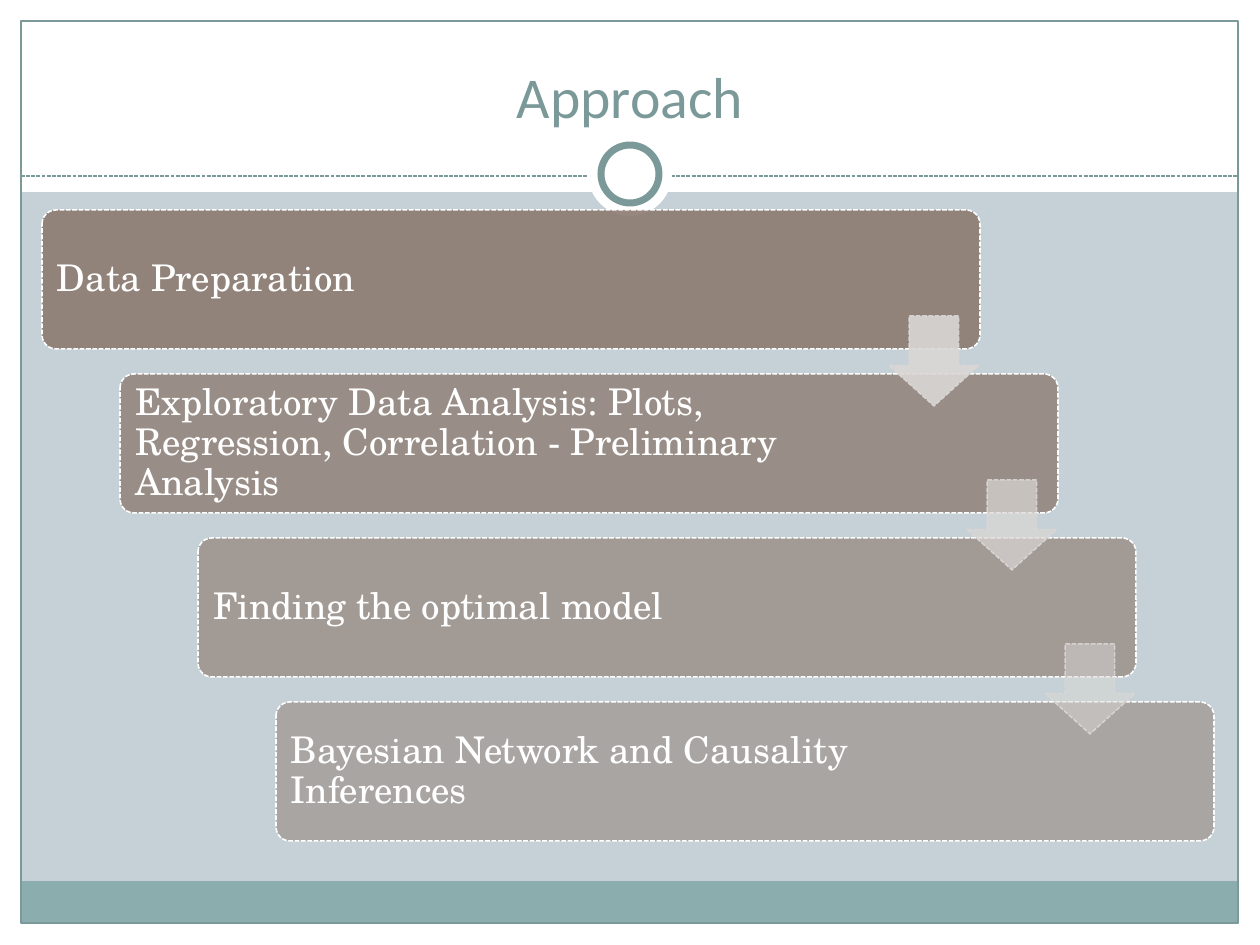
import pptx
import pptx.util
import pptx.dml.color
import pptx.enum.dml
import pptx.enum.shapes
import pptx.enum.text
import pptx.oxml.ns
import lxml.etree

RGBColor = pptx.dml.color.RGBColor
SHAPE = pptx.enum.shapes.MSO_SHAPE
ALIGN = pptx.enum.text.PP_ALIGN
ANCHOR = pptx.enum.text.MSO_ANCHOR
DASH = pptx.enum.dml.MSO_LINE

WHITE = RGBColor(0xFF, 0xFF, 0xFF)
SKY = RGBColor(0xC5, 0xD1, 0xD7)
TEAL = RGBColor(0x8C, 0xAD, 0xAE)
SLATE = RGBColor(0x7C, 0x99, 0x9A)
BROWN = RGBColor(0x8C, 0x7B, 0x70)
SAND = RGBColor(0xDA, 0xD7, 0xD5)

PX_PER_INCH = 126
STEPS = [
    ("Data Preparation", 90),
    ("Exploratory Data Analysis: Plots, Regression, Correlation - Preliminary Analysis", 77),
    ("Finding the optimal model", 63),
    ("Bayesian Network and Causality Inferences", 50),
]
ARROW_OPACITIES = [90, 70, 50]
STEP_LEFT, STEP_TOP, STEP_WIDTH, STEP_HEIGHT = 42, 210, 938, 139
SHIFT_X, SHIFT_Y = 78, 164


def px(length):
    """Turn whole pixels into EMU."""
    return round(length * 914400 / PX_PER_INCH)


def set_opacity(fill_format, parent, percent):
    """Make a solid fill partly transparent."""
    color = parent.find(".//" + pptx.oxml.ns.qn("a:srgbClr"))
    alpha = lxml.etree.SubElement(color, pptx.oxml.ns.qn("a:alpha"))
    alpha.set("val", str(percent * 1000))


def add_block(page, kind, bounds, fill=None, opacity=100, line=None,
              line_width=0.75, line_opacity=100, dashed=False, adjustments=()):
    """Add a preset shape with the given fill and outline."""
    shape = page.shapes.add_shape(kind, *map(px, bounds))
    shape.shadow.inherit = False
    for index, value in enumerate(adjustments):
        shape.adjustments[index] = value
    if fill is None:
        shape.fill.background()
    else:
        shape.fill.solid()
        shape.fill.fore_color.rgb = fill
        if opacity < 100:
            set_opacity(shape.fill, shape.element.spPr, opacity)
    if line is None:
        shape.line.fill.background()
        return shape
    shape.line.color.rgb = line
    shape.line.width = pptx.util.Pt(line_width)
    if dashed:
        shape.line.dash_style = DASH.SQUARE_DOT
    if line_opacity < 100:
        outline = shape.element.spPr.find(pptx.oxml.ns.qn("a:ln"))
        set_opacity(shape.line.fill, outline, line_opacity)
    return shape


def add_text(page, text, bounds, font, size, color, align=ALIGN.LEFT,
             anchor=ANCHOR.MIDDLE, inset=11, spacing=None):
    """Add a wrapped text box with one formatted paragraph."""
    box = page.shapes.add_textbox(*map(px, bounds))
    frame = box.text_frame
    frame.word_wrap = True
    frame.vertical_anchor = anchor
    frame.margin_left = frame.margin_right = px(inset)
    frame.margin_top = frame.margin_bottom = px(min(inset, 11))
    para = frame.paragraphs[0]
    para.alignment = align
    if spacing:
        para.line_spacing = spacing
    span = para.add_run()
    span.text = text
    span.font.name = font
    span.font.size = pptx.util.Pt(size)
    span.font.color.rgb = color
    return box


def add_divider(page, left, right, top):
    """Add the dashed line under the title."""
    divider = page.shapes.add_connector(
        pptx.enum.shapes.MSO_CONNECTOR.STRAIGHT, px(left), px(top), px(right), px(top))
    divider.line.color.rgb = SLATE
    divider.line.width = pptx.util.Pt(0.75)
    divider.line.dash_style = DASH.SQUARE_DOT
    lxml.etree.SubElement(divider.element.spPr, pptx.oxml.ns.qn("a:effectLst"))


def add_frame(page):
    """Add the margins, footer band, border and ring."""
    margins = [(0, 924, 1260, 21), (0, 0, 1260, 192), (0, 0, 21, 945), (1239, 0, 21, 945)]
    for bounds in margins:
        add_block(page, SHAPE.RECTANGLE, bounds, fill=WHITE)
    add_block(page, SHAPE.RECTANGLE, (21, 881, 1217, 43), fill=TEAL)
    add_block(page, SHAPE.RECTANGLE, (21, 21, 1217, 902), line=SLATE)
    add_divider(page, 21, 1239, 176)
    add_block(page, SHAPE.OVAL, (588, 132, 84, 84), fill=WHITE)
    add_block(page, SHAPE.OVAL, (601, 145, 58, 58), fill=WHITE, line=SLATE, line_width=4)


def add_step(page, index, text, opacity):
    """Add one rounded step of the staircase and its label."""
    left, top = STEP_LEFT + index * SHIFT_X, STEP_TOP + index * SHIFT_Y
    add_block(page, SHAPE.ROUNDED_RECTANGLE, (left, top, STEP_WIDTH, STEP_HEIGHT),
              fill=BROWN, opacity=opacity, line=WHITE, line_width=0.9,
              dashed=True, adjustments=[0.1])
    add_text(page, text, (left + 4, top + 4, 762, STEP_HEIGHT - 8),
             font="TeX Gyre Schola", size=21, color=WHITE, spacing=0.9)


def add_step_arrow(page, index, opacity):
    """Add the arrow that leads from one step to the next."""
    left, top = STEP_LEFT + 847 + index * SHIFT_X, STEP_TOP + 106 + index * SHIFT_Y
    add_block(page, SHAPE.DOWN_ARROW, (left, top, 90, 90), fill=SAND, opacity=opacity,
              line=SAND, line_width=0.9, line_opacity=90, dashed=True,
              adjustments=[0.55, 0.45])


def main():
    """Build the slide and save it."""
    deck = pptx.Presentation()
    deck.slide_width, deck.slide_height = px(1260), px(945)
    page = deck.slides.add_slide(deck.slide_layouts[6])
    page.background.fill.solid()
    page.background.fill.fore_color.rgb = SKY
    add_frame(page)
    add_text(page, "Approach", (42, 32, 1176, 104), font="Calibri", size=33,
             color=SLATE, align=ALIGN.CENTER, anchor=ANCHOR.BOTTOM, inset=6)
    for index, (text, opacity) in enumerate(STEPS):
        add_step(page, index, text, opacity)
    for index, opacity in enumerate(ARROW_OPACITIES):
        add_step_arrow(page, index, opacity)
    deck.save("out.pptx")


if __name__ == "__main__":
    main()
